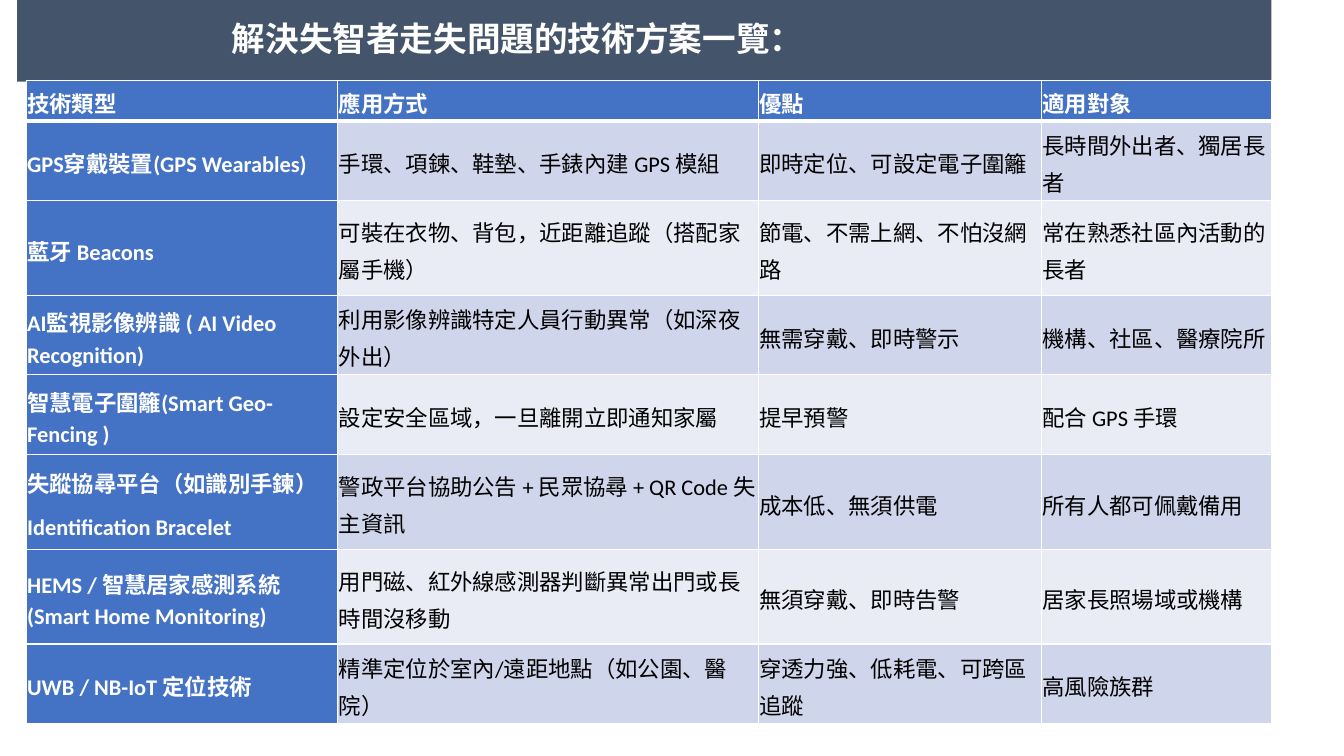
import lxml.etree
import pptx
import pptx.dml.color
import pptx.enum.text
import pptx.oxml.ns
import pptx.util

Inches = pptx.util.Inches
Pt = pptx.util.Pt
RGBColor = pptx.dml.color.RGBColor
ALIGN = pptx.enum.text.PP_ALIGN
ANCHOR = pptx.enum.text.MSO_ANCHOR

WHITE = RGBColor(0xFF, 0xFF, 0xFF)
BLACK = RGBColor(0, 0, 0)
SLATE = RGBColor(0x44, 0x54, 0x6A)
BLUE = RGBColor(0x44, 0x72, 0xC4)
DARK = RGBColor(0xCF, 0xD5, 0xEA)
LIGHT = RGBColor(0xE9, 0xEB, 0xF5)

TITLE = "解決失智者走失問題的技術方案一覽："
WIDTHS = [3.09, 4.17, 2.81, 2.28]
HEIGHTS = [0.4, 0.79, 0.94, 0.79, 0.79, 0.94, 0.94, 0.79]
ROWS = [
    ["技術類型", "應用方式", "優點", "適用對象"],
    ["GPS穿戴裝置(GPS Wearables)", "手環、項鍊、鞋墊、手錶內建 GPS 模組",
     "即時定位、可設定電子圍籬", "長時間外出者、獨居長者"],
    ["藍牙 Beacons", "可裝在衣物、背包，近距離追蹤（搭配家屬手機）",
     "節電、不需上網、不怕沒網路", "常在熟悉社區內活動的長者"],
    ["AI監視影像辨識 ( AI Video Recognition)", "利用影像辨識特定人員行動異常（如深夜外出）",
     "無需穿戴、即時警示", "機構、社區、醫療院所"],
    ["智慧電子圍籬(Smart Geo-Fencing )", "設定安全區域，一旦離開立即通知家屬",
     "提早預警", "配合 GPS 手環"],
    ["失蹤協尋平台（如識別手鍊）\nIdentification Bracelet", "警政平台協助公告 + 民眾協尋 + QR Code 失主資訊",
     "成本低、無須供電", "所有人都可佩戴備用"],
    ["HEMS / 智慧居家感測系統(Smart Home Monitoring)", "用門磁、紅外線感測器判斷異常出門或長時間沒移動",
     "無須穿戴、即時告警", "居家長照場域或機構"],
    ["UWB / NB-IoT 定位技術", "精準定位於室內/遠距地點（如公園、醫院）",
     "穿透力強、低耗電、可跨區追蹤", "高風險族群"],
]

TITLE_BOX = {"left": Inches(0.17), "top": Inches(0), "width": Inches(12.44), "height": Inches(0.81)}
TITLE_FRAME = {"margin_left": Inches(2.13), "vertical_anchor": ANCHOR.MIDDLE, "word_wrap": True,
               "auto_size": pptx.enum.text.MSO_AUTO_SIZE.NONE}
TITLE_PARA = {"alignment": ALIGN.LEFT, "line_spacing": 0.9}
TITLE_FONT = {"name": "Lato", "size": Pt(24), "bold": True}
CELL_FRAME = {"vertical_anchor": ANCHOR.MIDDLE, "margin_left": Inches(0.01), "margin_top": Inches(0.01),
              "margin_right": Inches(0.01), "margin_bottom": Inches(0.01)}
CELL_PARA = {"alignment": ALIGN.LEFT, "line_spacing": 1.15, "space_after": Pt(8)}
CELL_FONT = {"name": "Calibri", "size": Pt(16)}


def apply(item, form):
    for key, value in form.items():
        setattr(item, key, value)


def paint(item, color):
    item.fill.solid()
    item.fill.fore_color.rgb = color


def style(frame, para, font, color):
    for part in frame.paragraphs:
        apply(part, para)
        for run in part.runs:
            apply(run.font, font)
            run.font.color.rgb = color


def add_edge(cell, side, points):
    name = pptx.oxml.ns.qn
    props = cell._tc.get_or_add_tcPr()
    line = lxml.etree.SubElement(props, name("a:ln" + side), w=str(Pt(points)))
    fill = lxml.etree.SubElement(line, name("a:solidFill"))
    lxml.etree.SubElement(fill, name("a:srgbClr"), val=str(WHITE))


def add_title(slide):
    title = slide.shapes.title
    apply(title, TITLE_BOX)
    paint(title, SLATE)
    frame = title.text_frame
    frame.text = TITLE
    apply(frame, TITLE_FRAME)
    style(frame, TITLE_PARA, TITLE_FONT, WHITE)


def fill_cell(cell, text, row, col):
    head = row == 0 or col == 0
    cell.text = text
    apply(cell, CELL_FRAME)
    style(cell.text_frame, CELL_PARA, {**CELL_FONT, "bold": head}, WHITE if head else BLACK)
    edges = {"L": 1, "R": 1, "T": 3 if row == 1 else 1, "B": 3 if row == 0 else 1}
    for side, points in edges.items():
        add_edge(cell, side, points)
    paint(cell, BLUE if head else DARK if row % 2 else LIGHT)


def add_grid(slide):
    frame = slide.shapes.add_table(len(ROWS), len(WIDTHS), Inches(0.26), Inches(0.8),
                                   Inches(sum(WIDTHS)), Inches(sum(HEIGHTS)))
    table = frame.table
    for col, width in zip(table.columns, WIDTHS):
        col.width = Inches(width)
    for row, height in zip(table.rows, HEIGHTS):
        row.height = Inches(height)
    for row, texts in enumerate(ROWS):
        for col, text in enumerate(texts):
            fill_cell(table.cell(row, col), text, row, col)


def main():
    deck = pptx.Presentation()
    apply(deck, {"slide_width": Inches(13.33), "slide_height": Inches(7.5)})
    slide = deck.slides.add_slide(deck.slide_layouts[5])
    add_title(slide)
    add_grid(slide)
    deck.save("out.pptx")


if __name__ == "__main__":
    main()
